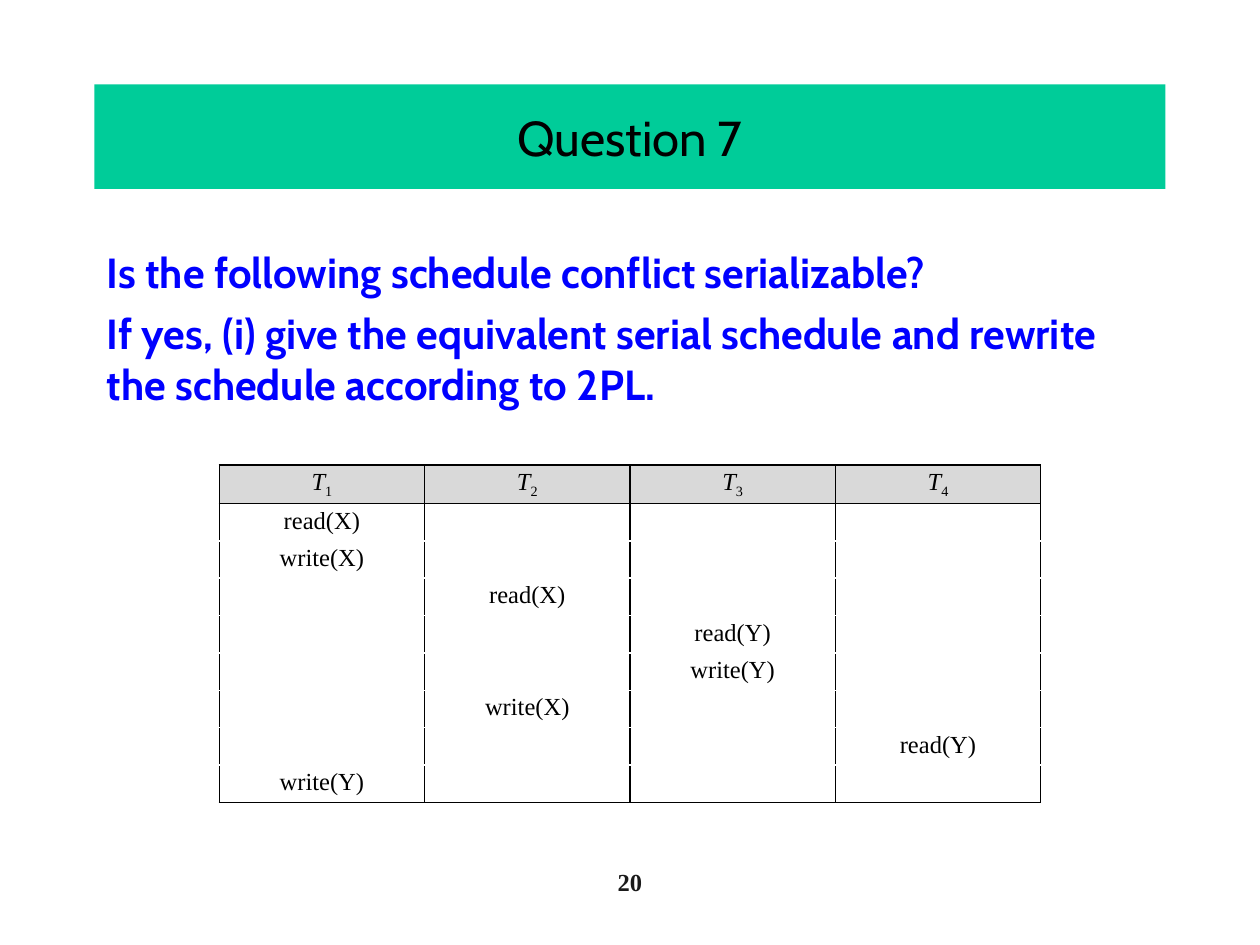
import pptx
import pptx.dml.color
import pptx.enum.shapes
import pptx.enum.text
import pptx.oxml
import pptx.oxml.ns
import pptx.util
from lxml import etree

RGBColor = pptx.dml.color.RGBColor
Pt = pptx.util.Pt
ALIGN = pptx.enum.text.PP_ALIGN
ANCHOR = pptx.enum.text.MSO_ANCHOR
qn = pptx.oxml.ns.qn

BLACK = RGBColor(0x00, 0x00, 0x00)
WHITE = RGBColor(0xFF, 0xFF, 0xFF)
GREEN = RGBColor(0x00, 0xCC, 0x99)
BLUE = RGBColor(0x00, 0x00, 0xFF)
GREY = RGBColor(0xD9, 0xD9, 0xD9)
INK = RGBColor(0x1A, 0x1A, 0x1A)

W, H = 10, 7.5  # slide size in inches
MARGIN = 0.075  # left and right margin, as a share of the width
TRANSACTIONS = 4
SCHEDULE = [  # (transaction, operation), one per row
    (1, "read(X)"), (1, "write(X)"), (2, "read(X)"), (3, "read(Y)"),
    (3, "write(Y)"), (2, "write(X)"), (4, "read(Y)"), (1, "write(Y)"),
]


class Builder:
    heading_font = "Cabin"
    text_font = "Times New Roman"
    cell_size = 14

    def __init__(self, prs):
        self.prs = prs
        self.slide = prs.slides.add_slide(prs.slide_layouts[6])

    def box(self, x, y, w, h):
        """Turn shares of the slide's size into lengths."""
        sw, sh = self.prs.slide_width, self.prs.slide_height
        return int(x * sw), int(y * sh), int(w * sw), int(h * sh)

    def style(self, p, name, size, color, bold=False, align=ALIGN.LEFT):
        p.alignment = align
        f = p.font
        f.name, f.size, f.bold = name, Pt(size), bold
        f.color.rgb = color

    def banner(self, text, *place):
        sp = self.slide.shapes.add_shape(
            pptx.enum.shapes.MSO_SHAPE.RECTANGLE, *self.box(*place))
        sp.shadow.inherit = False
        sp.fill.solid()
        sp.fill.fore_color.rgb = GREEN
        sp.line.fill.background()
        tf = sp.text_frame
        tf.vertical_anchor = ANCHOR.MIDDLE
        tf.text = text
        self.style(tf.paragraphs[0], self.heading_font, 28, BLACK, align=ALIGN.CENTER)

    def text(self, lines, place, name, size, color, align=ALIGN.LEFT, gap=6):
        tf = self.slide.shapes.add_textbox(*self.box(*place)).text_frame
        tf.word_wrap = True
        tf.text = "\n".join(lines)
        for i, p in enumerate(tf.paragraphs):
            self.style(p, name, size, color, bold=True, align=align)
            if i:
                p.space_before = Pt(gap)

    def borders(self, cell, top, bottom):
        tc_pr = cell._tc.get_or_add_tcPr()
        for side, color in zip("LRTB", (BLACK, BLACK, top, bottom)):
            ln = etree.SubElement(tc_pr, qn(f"a:ln{side}"), w=str(Pt(1)))
            fill = etree.SubElement(ln, qn("a:solidFill"))
            etree.SubElement(fill, qn("a:srgbClr"), val=str(color))

    def cell(self, cell, top, bottom, fill=None):
        """Format one table cell and return its paragraph."""
        cell.margin_top = cell.margin_bottom = pptx.util.Inches(0.03)
        self.borders(cell, top, bottom)
        if fill is None:
            cell.fill.background()
        else:
            cell.fill.solid()
            cell.fill.fore_color.rgb = fill
        p = cell.text_frame.paragraphs[0]
        self.style(p, self.text_font, self.cell_size, BLACK, align=ALIGN.CENTER)
        # Empty cells take their line height from the end-of-paragraph mark
        etree.SubElement(p._p, qn("a:endParaRPr"), sz=str(self.cell_size * 100))
        return p

    def schedule(self, operations, columns, *place):
        last = len(operations)
        table = self.slide.shapes.add_table(last + 1, columns, *self.box(*place)).table
        table.first_row = table.horz_banding = False

        # Header: T with its subscript
        for c in range(columns):
            p = self.cell(table.cell(0, c), BLACK, BLACK, GREY)
            r = p.add_run()
            r.text = "T"
            r.font.italic = True
            r = p.add_run()
            r.text = str(c + 1)
            r.font._element.set("baseline", "-25000")

        # One operation per row, in its transaction's column
        for row, (transaction, operation) in enumerate(operations, 1):
            top = BLACK if row == 1 else WHITE
            bottom = BLACK if row == last else WHITE
            for c in range(columns):
                p = self.cell(table.cell(row, c), top, bottom)
                if c + 1 == transaction:
                    p.add_run().text = operation


def main():
    prs = pptx.Presentation()
    prs.slide_width, prs.slide_height = pptx.util.Inches(W), pptx.util.Inches(H)
    b = Builder(prs)
    width = 1 - 2 * MARGIN

    # Title
    b.banner("Question 7", MARGIN, 0.67 / H, width, 0.83 / H)

    # Schedule table
    b.schedule(SCHEDULE, TRANSACTIONS, 1.74 / W, 3.69 / H, 6.52 / W, 2.67 / H)

    # Question
    b.text(["Is the following schedule conflict serializable?",
            "If yes, (i) give the equivalent serial schedule and rewrite "
            "the schedule according to 2PL."],
           (MARGIN, 1.91 / H, width, 1.3 / H), b.heading_font, 24, BLUE)

    # Page number
    b.text(["20"], (0.05, 6.83 / H, 0.9, 0.5 / H), b.text_font, 14, INK, ALIGN.CENTER)

    prs.save("out.pptx")


if __name__ == "__main__":
    main()
